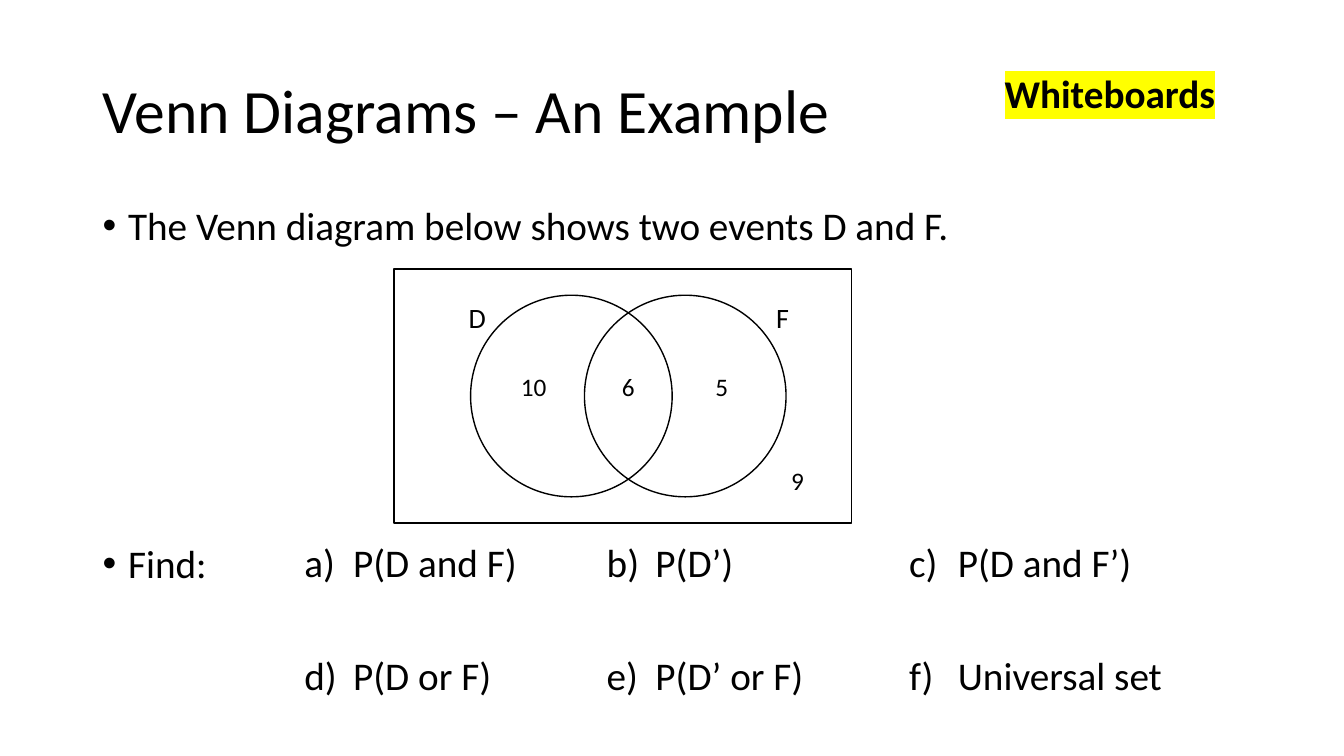
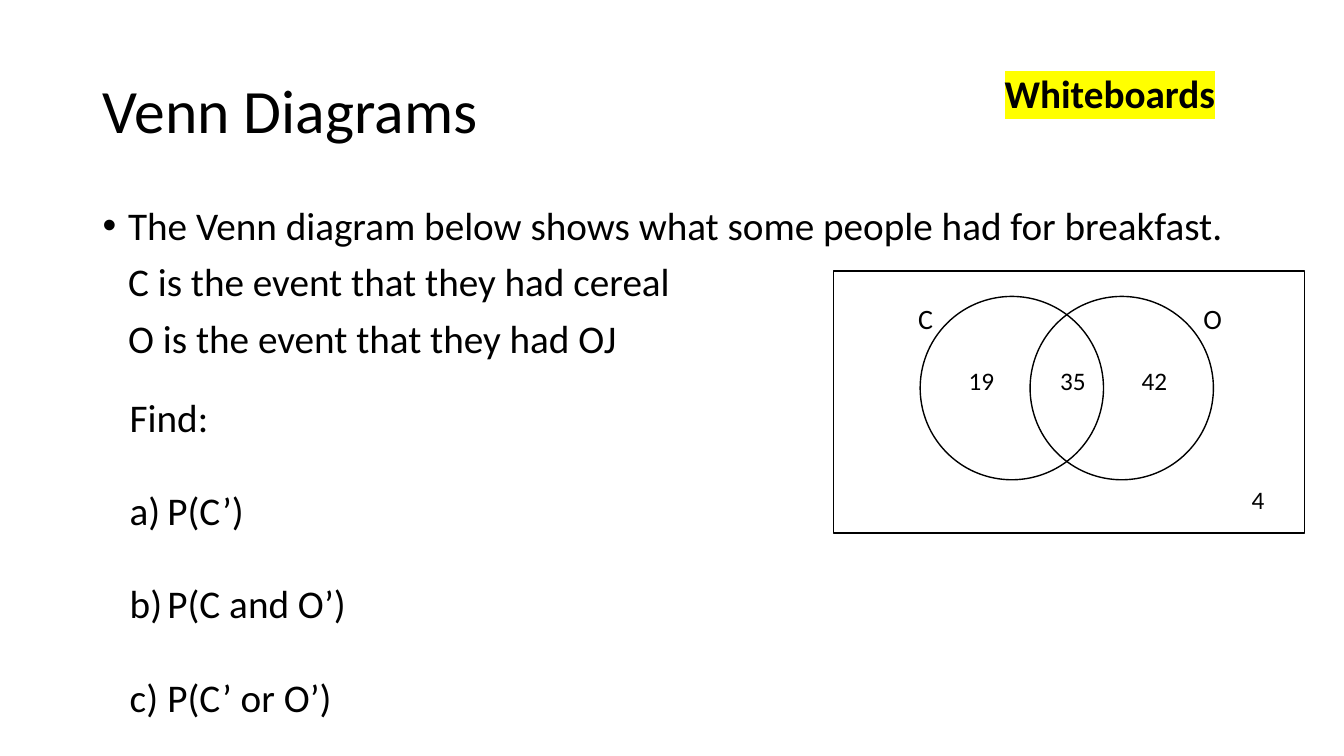
from pptx import Presentation
from pptx.dml.color import RGBColor
from pptx.enum.shapes import MSO_SHAPE
from pptx.enum.text import MSO_ANCHOR
from pptx.oxml.ns import qn
from pptx.util import Cm, Pt
from lxml.etree import SubElement

FONT = "Calibri"
BLACK = "000000"
YELLOW = "FFFF00"
MARGIN_LEFT = 2.34
CONTENT_WIDTH = 29.21
BULLET_INDENT = 0.64


def color(hex_string):
    return RGBColor.from_string(hex_string)


def add_text(slide, lines, left, top, width, height, size):
    """Add a text box with one paragraph per line and return its text frame."""
    text_frame = slide.shapes.add_textbox(Cm(left), Cm(top), Cm(width), Cm(height)).text_frame
    text_frame.word_wrap = True
    text_frame.text = "\n".join(lines)
    for paragraph in text_frame.paragraphs:
        for run in paragraph.runs:
            run.font.name = FONT
            run.font.size = Pt(size)
            run.font.color.rgb = color(BLACK)
    return text_frame


def set_indent(paragraph, left, first_line=0):
    properties = paragraph._p.get_or_add_pPr()
    properties.set("marL", str(Cm(left)))
    properties.set("indent", str(Cm(first_line)))
    return properties


def set_bullet(paragraph):
    properties = set_indent(paragraph, BULLET_INDENT, -BULLET_INDENT)
    SubElement(properties, qn("a:buFont"), typeface="Arial")
    SubElement(properties, qn("a:buChar"), char="•")


def set_letter(paragraph, hanging, start=1):
    """Number the paragraph a), b), c) and so on."""
    properties = set_indent(paragraph, hanging, -hanging)
    SubElement(properties, qn("a:buFont"), typeface=FONT)
    SubElement(properties, qn("a:buAutoNum"), type="alphaLcParenR", startAt=str(start))


def add_title(slide, title):
    text_frame = add_text(slide, [title], MARGIN_LEFT, 1.02, CONTENT_WIDTH, 3.68, 44)
    text_frame.vertical_anchor = MSO_ANCHOR.MIDDLE
    text_frame.paragraphs[0].line_spacing = 0.9


def add_whiteboards_tag(slide):
    text_frame = add_text(slide, ["Whiteboards"], 25.07, 1.63, 5.97, 1.45, 28)
    run = text_frame.paragraphs[0].runs[0]
    run.font.bold = True
    highlight = SubElement(run._r.get_or_add_rPr(), qn("a:highlight"))
    SubElement(highlight, qn("a:srgbClr"), val=YELLOW)
    run.font._element.find(qn("a:solidFill")).addnext(highlight)


def add_body(slide, lines, bulleted, space_before):
    """Add the main text; only the lines listed in bulleted get a bullet."""
    text_frame = add_text(slide, lines, MARGIN_LEFT, 5.08, CONTENT_WIDTH, 12.1, 28)
    for index, paragraph in enumerate(text_frame.paragraphs):
        if index in bulleted:
            set_bullet(paragraph)
        else:
            set_indent(paragraph, BULLET_INDENT)
        paragraph.line_spacing = 0.9
        if index:
            paragraph.space_before = Pt(space_before)


def add_outline(slide, kind, left, top, width, height):
    shape = slide.shapes.add_shape(kind, Cm(left), Cm(top), Cm(width), Cm(height))
    shape.shadow.inherit = False
    shape.fill.background()
    shape.line.color.rgb = color(BLACK)
    shape.line.width = Pt(1)


def add_venn(slide, frame, circle_lefts, circle_top, diameter, set_names, counts):
    """Draw the universal set, two circles, their names and the counts (text, left, top)."""
    add_outline(slide, MSO_SHAPE.RECTANGLE, *frame)
    for left in circle_lefts:
        add_outline(slide, MSO_SHAPE.OVAL, left, circle_top, diameter, diameter)
    name_lefts = (circle_lefts[0] - 0.3, circle_lefts[1] + diameter - 0.5)
    for name, left in zip(set_names, name_lefts):
        add_text(slide, [name], left, circle_top, 1.4, 1.11, 20)
    for count, left, top in counts:
        add_text(slide, [count], left, top, 1.5, 1.03, 18)


def add_question_grid(slide, questions, columns=3):
    for index, question in enumerate(questions):
        row, column = divmod(index, columns)
        text_frame = add_text(slide, [question], 7.42 + 7.62 * column,
                              13.44 + 2.84 * row, 7.4, 1.45, 28)
        set_letter(text_frame.paragraphs[0], 1.23, index + 1)


def add_question_list(slide, heading, questions):
    text_frame = add_text(slide, [heading, *questions], 3.02, 9.78, 14.76, 8.64, 28)
    for paragraph in text_frame.paragraphs[1:]:
        set_letter(paragraph, 0.95)
        paragraph.space_before = Pt(33)


def start_slide(presentation, title):
    slide = presentation.slides.add_slide(presentation.slide_layouts[6])
    add_title(slide, title)
    add_whiteboards_tag(slide)
    return slide


def build_example(presentation):
    slide = start_slide(presentation, "Venn Diagrams – An Example")
    add_body(slide, ["The Venn diagram below shows two events D and F.", "Find:"], {0, 1}, 211)
    add_venn(slide, (9.93, 6.78, 11.53, 6.4), (11.86, 14.73), 7.44, 5.08, "DF",
             [("10", 12.88, 9.22), ("6", 15.42, 9.22), ("5", 17.78, 9.22), ("9", 19.69, 11.61)])
    add_question_grid(slide, ["P(D and F)", "P(D’)", "P(D and F’)",
                              "P(D or F)", "P(D’ or F)", "Universal set"])


def build_breakfast(presentation):
    slide = start_slide(presentation, "Venn Diagrams")
    add_body(slide, ["The Venn diagram below shows what some people had for breakfast.",
                     "C is the event that they had cereal",
                     "O is the event that they had OJ"], {0}, 10)
    add_venn(slide, (21.01, 6.83, 11.86, 6.6), (23.19, 25.96), 7.47, 4.62, "CO",
             [("19", 24.16, 9.09), ("35", 26.47, 9.07), ("42", 28.52, 9.07), ("4", 31.29, 12.09)])
    add_question_list(slide, "Find:", ["P(C’)", "P(C and O’)", "P(C’ or O’)"])


def main():
    presentation = Presentation()
    presentation.slide_width = Cm(33.87)
    presentation.slide_height = Cm(19.05)
    build_example(presentation)
    build_breakfast(presentation)
    presentation.save("out.pptx")


if __name__ == "__main__":
    main()
